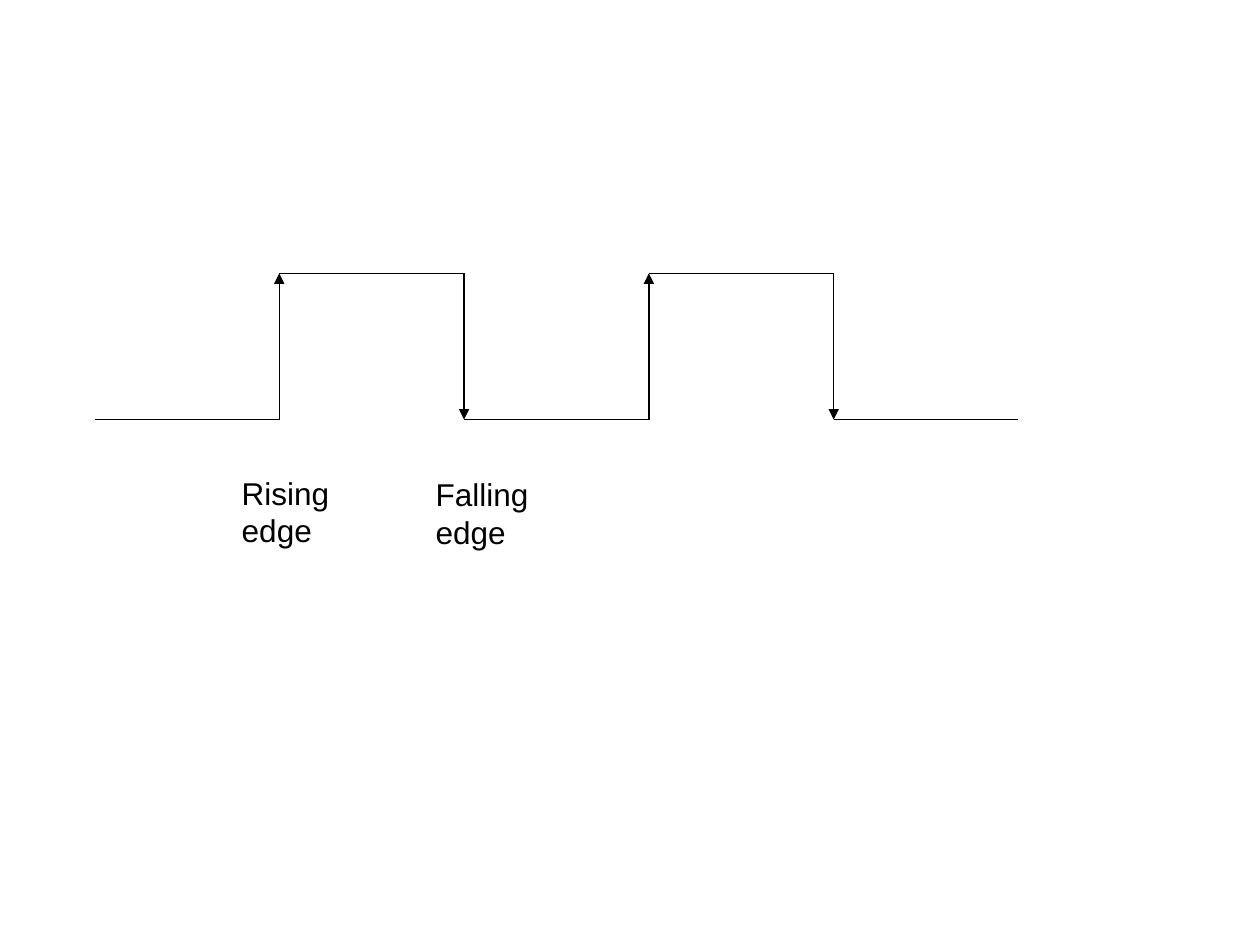
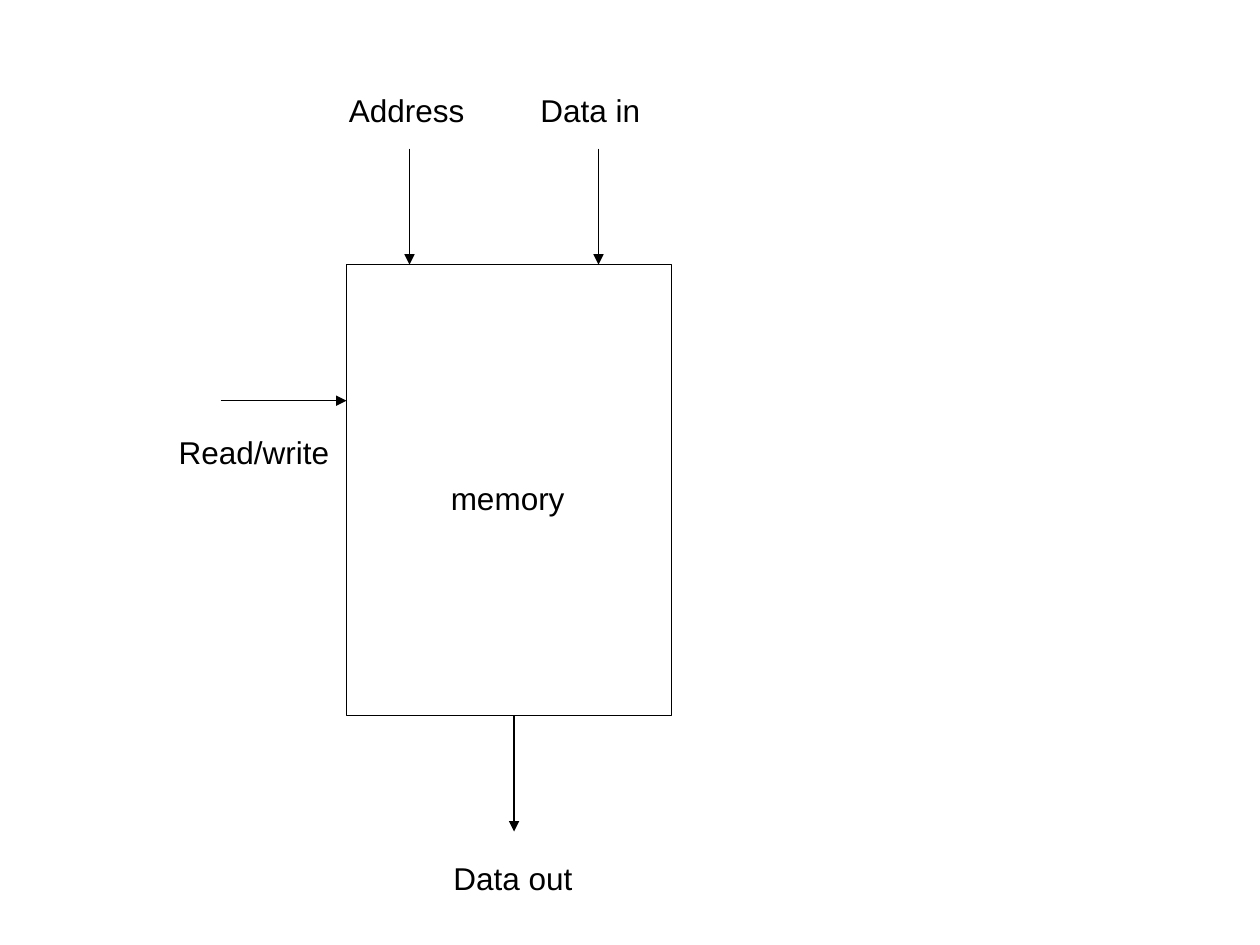
"""Build two diagram slides: clock signal edges and a memory block."""
from lxml import etree
from pptx import Presentation
from pptx.dml.color import RGBColor
from pptx.enum.shapes import MSO_CONNECTOR, MSO_SHAPE
from pptx.enum.text import MSO_AUTO_SIZE
from pptx.oxml.ns import qn
from pptx.util import Inches, Pt

STRAIGHT = MSO_CONNECTOR.STRAIGHT
RECTANGLE = MSO_SHAPE.RECTANGLE
FIT_SHAPE = MSO_AUTO_SIZE.SHAPE_TO_FIT_TEXT

COLORS = {"ink": "000000"}
FONT = "Arial"
TEXT_SIZE = 18
LINE_WIDTH = 0.75
LINE_HEIGHT = 0.3
SLIDE_WIDTH, SLIDE_HEIGHT = 10, 7.5
BLANK_LAYOUT = 6

WAVE_LEFT, WAVE_STEP = 0.75, 4.4 / 3
WAVE_LOW, WAVE_HIGH = 3.33, 2.17
WAVE_LEVELS = [WAVE_LOW, WAVE_HIGH, WAVE_LOW, WAVE_HIGH, WAVE_LOW]
EDGE_LABELS = [
    (["Rising", "edge"], 1.82, 3.71, 0.89),
    (["Falling", "edge"], 3.36, 3.72, 0.93),
]

MEMORY_LEFT, MEMORY_TOP, MEMORY_WIDTH, MEMORY_HEIGHT = 2.75, 2.1, 2.58, 3.58
MEMORY_BOTTOM = MEMORY_TOP + MEMORY_HEIGHT
ARROW_HEIGHT, ARROW_WIDTH = 0.92, 1
INPUT_COLUMNS = [3.25, 4.75]
OUTPUT_COLUMN, CONTROL_ROW = 4.08, 3.18
MEMORY_LABELS = [
    (["memory"], 3.48, 3.75, 1.1),
    (["Read/write"], 1.32, 3.39, 1.39),
    (["Data out"], 3.5, 6.77, 1.14),
    (["Data in"], 4.19, 0.67, 0.99),
    (["Address"], 2.67, 0.67, 1.11),
]


def color(name):
    """Return a named colour."""
    return RGBColor.from_string(COLORS[name])


def style_line(line):
    """Give a line the shared colour and width."""
    line.color.rgb = color("ink")
    line.width = Pt(LINE_WIDTH)


def add_line(shapes, start, end, arrow=False):
    """Draw a straight line, with an arrowhead at its end if asked."""
    connector = shapes.add_connector(STRAIGHT, *map(Inches, start + end))
    style_line(connector.line)
    if arrow:
        outline = connector.line._get_or_add_ln()
        etree.SubElement(outline, qn("a:tailEnd"), type="triangle")
    properties = connector._element.spPr
    etree.SubElement(properties, qn("a:effectLst"))


def add_text(shapes, lines, left, top, width, size=TEXT_SIZE, ink="ink"):
    """Write one paragraph for each line of text."""
    height = len(lines) * LINE_HEIGHT + 0.1
    box = shapes.add_textbox(*map(Inches, (left, top, width, height)))
    frame = box.text_frame
    frame.word_wrap = False
    frame.auto_size = FIT_SHAPE
    frame.margin_right = 0
    frame.text = "\n".join(lines)
    for paragraph in frame.paragraphs:
        paragraph.font.name = FONT
        paragraph.font.size = Pt(size)
        paragraph.font.color.rgb = color(ink)


def add_diagram(presentation):
    """Add a blank slide and return the shapes of its one group."""
    slide = presentation.slides.add_slide(presentation.slide_layouts[BLANK_LAYOUT])
    return slide.shapes.add_group_shape().shapes


def build_clock_slide(presentation):
    """Draw the square wave and name its edges."""
    shapes = add_diagram(presentation)
    for index, level in enumerate(WAVE_LEVELS):
        left = WAVE_LEFT + index * WAVE_STEP
        right = left + WAVE_STEP
        add_line(shapes, (left, level), (right, level))
        for next_level in WAVE_LEVELS[index + 1:index + 2]:
            add_line(shapes, (right, level), (right, next_level), arrow=True)
    for label in EDGE_LABELS:
        add_text(shapes, *label)


def build_memory_slide(presentation):
    """Draw the memory block with its inputs and output."""
    shapes = add_diagram(presentation)
    bounds = (MEMORY_LEFT, MEMORY_TOP, MEMORY_WIDTH, MEMORY_HEIGHT)
    memory = shapes.add_shape(RECTANGLE, *map(Inches, bounds))
    memory.shadow.inherit = False
    memory.fill.background()
    style_line(memory.line)

    arrows = [(column, MEMORY_TOP - ARROW_HEIGHT) for column in INPUT_COLUMNS]
    arrows.append((OUTPUT_COLUMN, MEMORY_BOTTOM))
    for column, top in arrows:
        add_line(shapes, (column, top), (column, top + ARROW_HEIGHT), arrow=True)
    add_line(shapes, (MEMORY_LEFT - ARROW_WIDTH, CONTROL_ROW),
             (MEMORY_LEFT, CONTROL_ROW), arrow=True)
    for label in MEMORY_LABELS:
        add_text(shapes, *label)


def main():
    """Build and save the presentation."""
    presentation = Presentation()
    presentation.slide_width = Inches(SLIDE_WIDTH)
    presentation.slide_height = Inches(SLIDE_HEIGHT)
    build_clock_slide(presentation)
    build_memory_slide(presentation)
    presentation.save("out.pptx")


if __name__ == "__main__":
    main()
